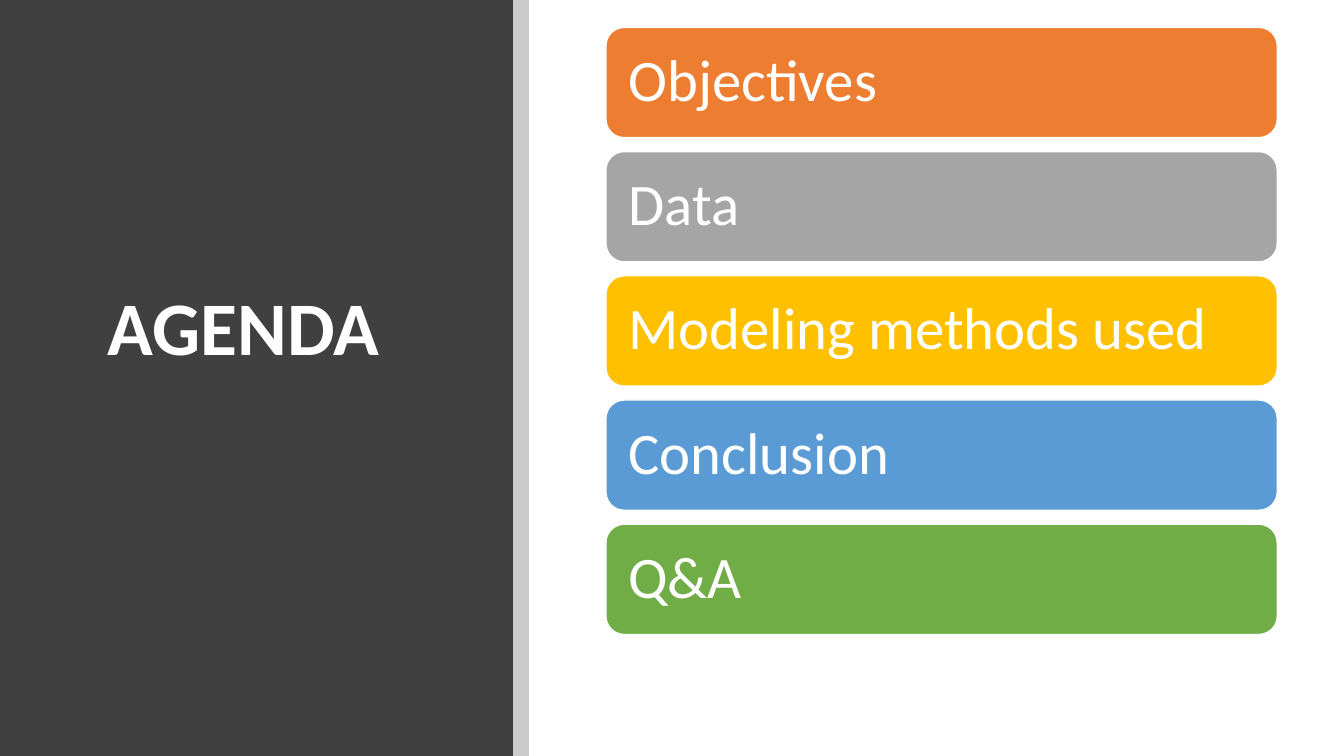
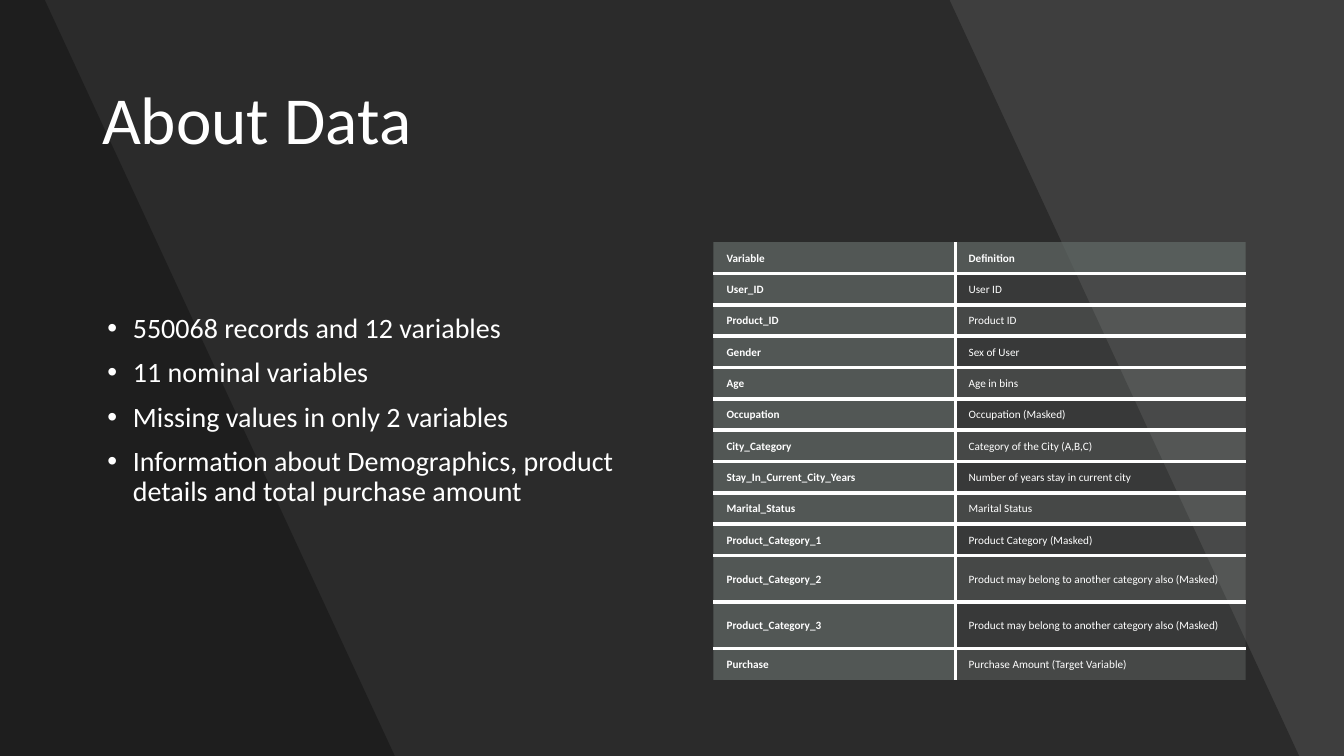
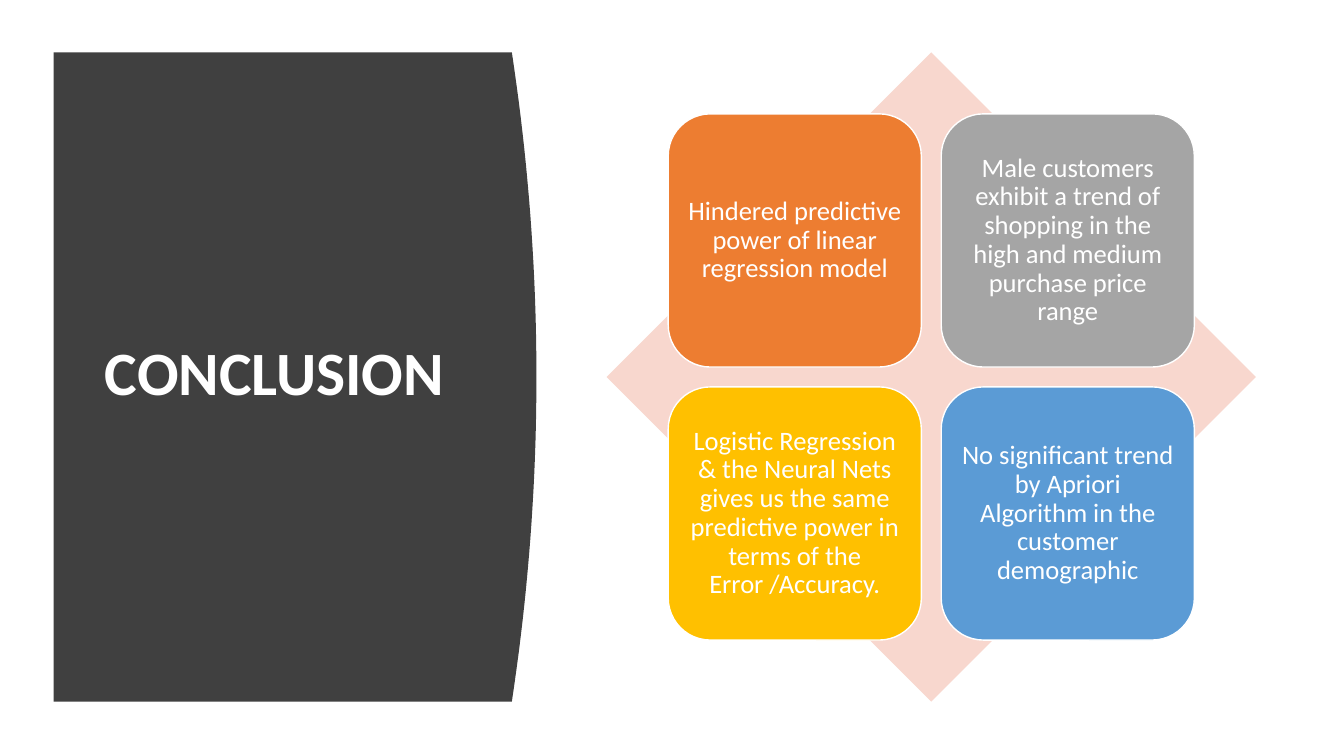
import pptx
import pptx.util
import pptx.dml.color
import pptx.enum.shapes
import pptx.enum.text
import pptx.oxml
import pptx.oxml.ns

Cm, Pt = pptx.util.Cm, pptx.util.Pt
RGBColor = pptx.dml.color.RGBColor
SHAPE = pptx.enum.shapes.MSO_SHAPE
ALIGN = pptx.enum.text.PP_ALIGN
ANCHOR = pptx.enum.text.MSO_ANCHOR
qn = pptx.oxml.ns.qn

WHITE = RGBColor(0xFF, 0xFF, 0xFF)
BLACK = RGBColor(0, 0, 0)
PANEL = RGBColor(0x40, 0x40, 0x40)
CHARCOAL = RGBColor(0x45, 0x45, 0x45)
ORANGE = RGBColor(0xED, 0x7D, 0x31)
GRAY = RGBColor(0xA5, 0xA5, 0xA5)
GOLD = RGBColor(0xFF, 0xC0, 0x00)
BLUE = RGBColor(0x5B, 0x9B, 0xD5)
GREEN = RGBColor(0x70, 0xAD, 0x47)
BLUSH = RGBColor(0xF8, 0xD7, 0xCE)
SLATE = RGBColor(0x63, 0x6B, 0x68)
SAGE = RGBColor(0x87, 0x8E, 0x8B)
ACCENTS = [ORANGE, GRAY, GOLD, BLUE, GREEN]

FONT = "Calibri"
WIDTH, HEIGHT = 33.87, 19.05


def set_opacity(properties, percent):
    """Make the first solid colour of a property element translucent."""
    color = properties.find(qn("a:solidFill")).find(qn("a:srgbClr"))
    alpha = color.makeelement(qn("a:alpha"), {"val": str(percent * 1000)})
    color.append(alpha)


def border(side, visible):
    """Return the border element of one cell side."""
    paint = f'<a:solidFill><a:srgbClr val="{WHITE}"/></a:solidFill>' if visible else "<a:noFill/>"
    return pptx.oxml.parse_xml(
        f'<a:ln{side} {pptx.oxml.ns.nsdecls("a")} w="{Pt(3)}">{paint}</a:ln{side}>')


class SlideBuilder:
    """Holds the shared style and the slide being filled."""

    def __init__(self):
        """Start an empty widescreen deck."""
        self.deck = pptx.Presentation()
        self.deck.slide_width, self.deck.slide_height = Cm(WIDTH), Cm(HEIGHT)
        self.page = None

    def new_page(self, background):
        """Add a title-only slide with a plain background."""
        self.page = self.deck.slides.add_slide(self.deck.slide_layouts[5])
        self.page.background.fill.solid()
        self.page.background.fill.fore_color.rgb = background

    def set_text(self, frame, lines, size, bold=False, align=ALIGN.LEFT, spacing=0.9):
        """Fill a text frame and format its paragraphs and runs."""
        frame.word_wrap = True
        frame.text = "\n".join(lines)
        for para in frame.paragraphs:
            para.alignment, para.line_spacing = align, spacing
            for span in para.runs:
                span.font.name, span.font.size = FONT, Pt(size)
                span.font.bold, span.font.color.rgb = bold, WHITE

    def title(self, text, left, top, width, height, size, bold=False):
        """Place the title placeholder in front of the shapes drawn so far."""
        box = self.page.shapes.title
        box.left, box.top, box.width, box.height = Cm(left), Cm(top), Cm(width), Cm(height)
        box.element.getparent().append(box.element)
        self.set_text(box.text_frame, [text], size, bold)
        box.text_frame.vertical_anchor = ANCHOR.MIDDLE
        box.text_frame.auto_size = pptx.enum.text.MSO_AUTO_SIZE.NONE

    def paint(self, shape, color, opacity=100):
        """Give a shape a flat fill with no line or shadow."""
        shape.shadow.inherit = False
        shape.fill.solid()
        shape.fill.fore_color.rgb = color
        if opacity < 100:
            set_opacity(shape.element.spPr, opacity)
        shape.line.fill.background()

    def block(self, kind, left, top, width, height, color, opacity=100):
        """Draw a flat preset shape."""
        shape = self.page.shapes.add_shape(kind, Cm(left), Cm(top), Cm(width), Cm(height))
        self.paint(shape, color, opacity)
        return shape

    def outline(self, points, color, opacity=100):
        """Draw a closed freeform through the given points."""
        points = [(Cm(x), Cm(y)) for x, y in points]
        builder = self.page.shapes.build_freeform(*points[0])
        builder.add_line_segments(points[1:], close=True)
        self.paint(builder.convert_to_shape(), color, opacity)

    def card(self, text, left, top, width, height, color, size, inset, align=ALIGN.LEFT):
        """Draw a rounded card with a white outline and its text."""
        shape = self.block(SHAPE.ROUNDED_RECTANGLE, left, top, width, height, color)
        shape.line.color.rgb = WHITE
        shape.line.width = Pt(1)
        frame = shape.text_frame
        frame.margin_left = frame.margin_right = Cm(inset)
        frame.margin_top = frame.margin_bottom = Cm(inset)
        frame.vertical_anchor = ANCHOR.MIDDLE
        self.set_text(frame, [text], size, align=align)

    def bullets(self, lines, left, top, width, height, size):
        """Add a bulleted list with hanging indents."""
        box = self.page.shapes.add_textbox(Cm(left), Cm(top), Cm(width), Cm(height))
        self.set_text(box.text_frame, lines, size)
        indent = Cm(0.64)
        for para in box.text_frame.paragraphs:
            para.space_before = Pt(10)
            properties = para._p.get_or_add_pPr()
            properties.set("marL", str(indent))
            properties.set("indent", str(-indent))
            properties.append(pptx.oxml.parse_xml(
                f'<a:buFont {pptx.oxml.ns.nsdecls("a")} typeface="Arial"/>'))
            properties.append(pptx.oxml.parse_xml(
                f'<a:buChar {pptx.oxml.ns.nsdecls("a")} char="•"/>'))

    def table(self, rows, left, top, widths, heights, size):
        """Build a table with inner white rules and translucent cells."""
        grid = self.page.shapes.add_table(
            len(rows), len(widths), Cm(left), Cm(top), Cm(sum(widths)), Cm(sum(heights))).table
        for column, width in zip(grid.columns, widths):
            column.width = Cm(width)
        for i, (row, height) in enumerate(zip(rows, heights)):
            grid.rows[i].height = Cm(height)
            for j, text in enumerate(row):
                cell, heading = grid.cell(i, j), i == 0 or j == 0
                self.set_text(cell.text_frame, [text], size, heading, spacing=1.07)
                cell.vertical_anchor = ANCHOR.MIDDLE
                cell.margin_left = Cm(0.33)
                cell.margin_right = cell.margin_top = cell.margin_bottom = Cm(0.2)
                cell.fill.solid()
                cell.fill.fore_color.rgb = SLATE if heading else SAGE
                properties = cell._tc.get_or_add_tcPr()
                set_opacity(properties, 70 if heading else 15 if i % 2 else 30)
                inner = {"L": j > 0, "R": j < len(widths) - 1,
                         "T": i > 0, "B": i < len(rows) - 1}
                for place, (side, visible) in enumerate(inner.items()):
                    properties.insert(place, border(side, visible))


def agenda(slides):
    """Agenda: dark side panel and a stack of coloured bars."""
    slides.new_page(WHITE)
    panel_width = 12.93
    slides.block(SHAPE.RECTANGLE, 0, 0, panel_width, HEIGHT, PANEL)
    slides.block(SHAPE.RECTANGLE, panel_width, 0, 0.4, HEIGHT, BLACK, 20)
    slides.title("AGENDA", 2.46, 2.9, 9.27, 10.9, 54, bold=True)
    topics = ["Objectives", "Data", "Modeling methods used", "Conclusion", "Q&A"]
    for i, (topic, color) in enumerate(zip(topics, ACCENTS)):
        slides.card(topic, 15.27, 0.69 + 3.13 * i, 16.92, 2.78, color, 42, 0.43)


def about_data(slides):
    """About Data: slanted shades, bullets and the variable table."""
    slides.new_page(CHARCOAL)
    slides.block(SHAPE.RECTANGLE, 0, 0, WIDTH, HEIGHT, BLACK, 9)
    for top_edge, bottom_edge in [(23.93, 32.74), (1.13, 9.95)]:
        slides.outline([(0, 0), (top_edge, 0), (bottom_edge, HEIGHT), (0, HEIGHT)], BLACK, 30)
    slides.title("About Data", 2.32, 1.25, 29.23, 3.68, 48)
    slides.bullets([
        "550068 records and 12 variables",
        "11 nominal variables",
        "Missing values in only 2 variables",
        "Information about Demographics, product details and total purchase amount",
    ], 2.46, 7.8, 13.84, 8.38, 20)
    shared_category = "Product may belong to another category also (Masked)"
    variables = [
        ("Variable", "Definition"),
        ("User_ID", "User ID"),
        ("Product_ID", "Product ID"),
        ("Gender", "Sex of User"),
        ("Age", "Age in bins"),
        ("Occupation", "Occupation (Masked)"),
        ("City_Category", "Category of the City (A,B,C)"),
        ("Stay_In_Current_City_Years", "Number of years stay in current city"),
        ("Marital_Status", "Marital Status"),
        ("Product_Category_1", "Product Category (Masked)"),
        ("Product_Category_2", shared_category),
        ("Product_Category_3", shared_category),
        ("Purchase", "Purchase Amount (Target Variable)"),
    ]
    heights = [1.17 if text == shared_category else 0.79 for _, text in variables]
    slides.table(variables, 17.98, 6.1, [6.1, 7.31], heights, 8)


def conclusion(slides):
    """Conclusion: bowed panel and four cards over a diamond."""
    slides.new_page(WHITE)
    left, top, edge, bulge, size, steps = 1.35, 1.32, 12.9, 0.62, 16.36, 40
    bow = []
    for step in range(steps + 1):
        offset = 2 * step / steps - 1
        bow.append((edge + bulge * (1 - offset ** 2), top + size * step / steps))
    slides.outline([(left, top), *bow, (left, top + size)], PANEL)
    slides.title("CONCLUSION", 2.39, 2.82, 9.5, 13.31, 44, bold=True)

    diamond_left, card, pitch = 15.29, 6.38, 6.88
    slides.block(SHAPE.DIAMOND, diamond_left, top, size, size, BLUSH)
    margin = (size - card - pitch) / 2
    findings = [
        "Hindered predictive power of linear regression model",
        "Male customers exhibit a trend of shopping in the high and medium purchase price range",
        "Logistic Regression & the Neural Nets gives us the same predictive power "
        "in terms of the Error\u00a0/Accuracy.",
        "No significant trend by Apriori Algorithm in the customer demographic",
    ]
    for i, (finding, color) in enumerate(zip(findings, ACCENTS)):
        row, column = divmod(i, 2)
        slides.card(finding, diamond_left + margin + pitch * column, top + margin + pitch * row,
                    card, card, color, 19, 0.19, ALIGN.CENTER)


slides = SlideBuilder()
agenda(slides)
about_data(slides)
conclusion(slides)
slides.deck.save("out.pptx")
